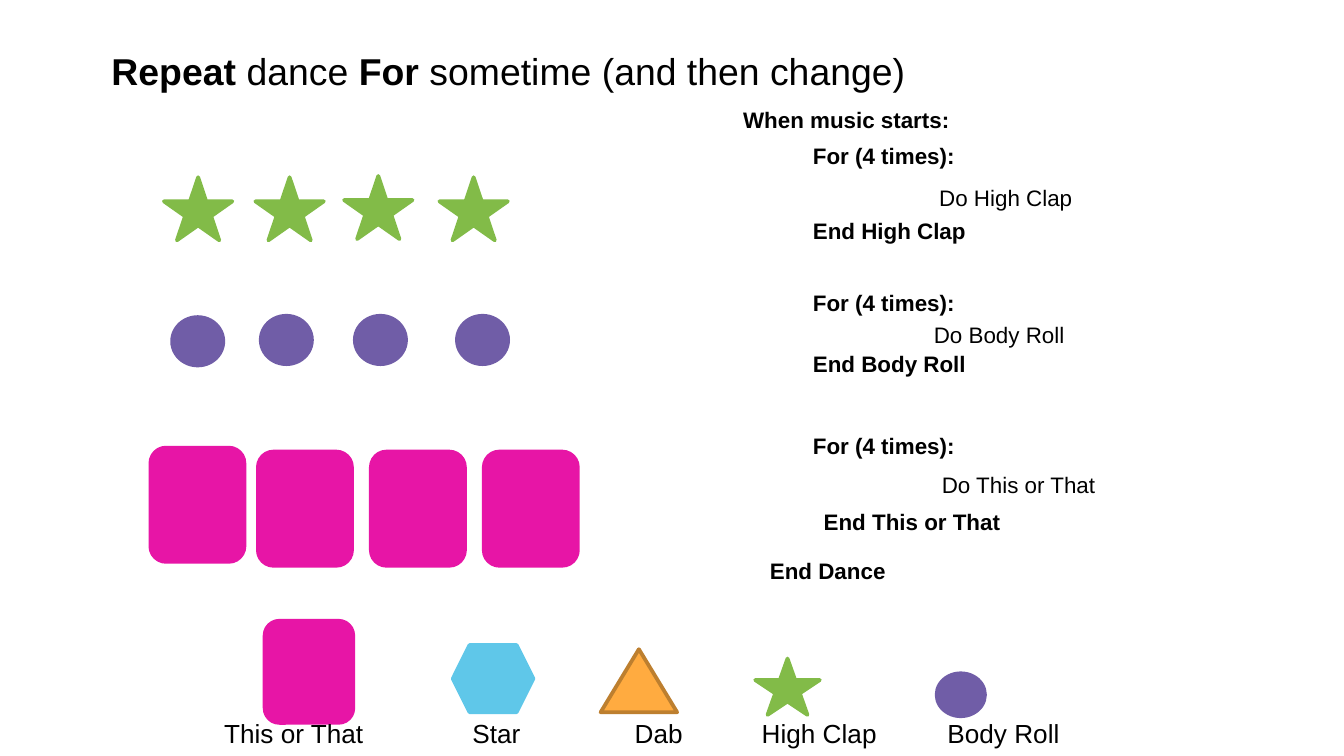
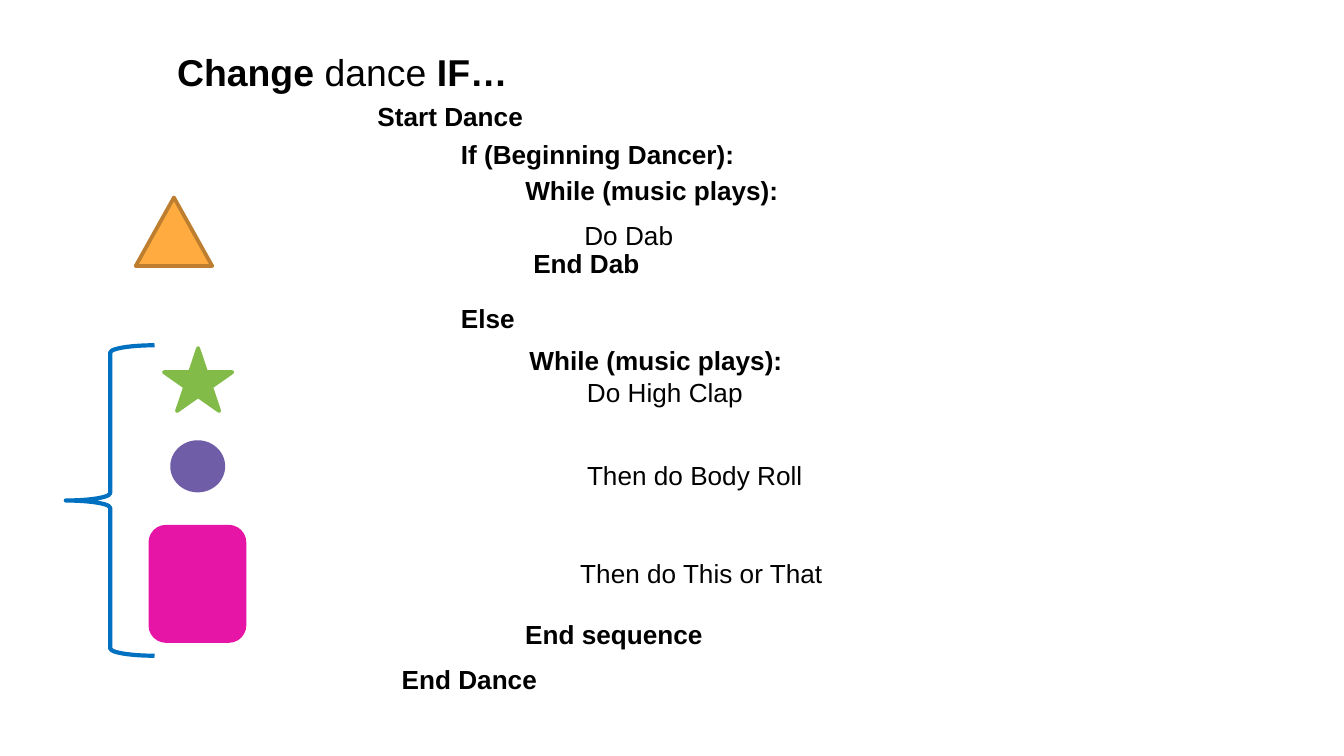
import pptx
import pptx.dml.color
import pptx.enum.shapes
import pptx.enum.text
import pptx.util
from lxml import etree

Pt = pptx.util.Pt
RGBColor = pptx.dml.color.RGBColor
KIND = pptx.enum.shapes.MSO_SHAPE

BLACK = RGBColor(0x00, 0x00, 0x00)
GREEN = RGBColor(0x82, 0xBB, 0x48)
PURPLE = RGBColor(0x70, 0x5D, 0xA7)
PINK = RGBColor(0xE7, 0x15, 0xA6)
SKY = RGBColor(0x5F, 0xC7, 0xE9)
ORANGE = RGBColor(0xFF, 0xAB, 0x40)
BROWN = RGBColor(0xBD, 0x7F, 0x2F)
BLUE = RGBColor(0x00, 0x70, 0xC0)

FONT = "Arial"
TITLE_SIZE = 20
LABEL_SIZE = 14
NAMESPACE = "http://schemas.openxmlformats.org/drawingml/2006/main"

MOVES = {
    "High Clap": (KIND.STAR_5_POINT, GREEN, GREEN, (36.7, 33.8)),
    "Body Roll": (KIND.OVAL, PURPLE, PURPLE, (27.4, 25.9)),
    "This or That": (KIND.ROUNDED_RECTANGLE, PINK, PINK, (50.4, 61.2)),
    "Star": (KIND.HEXAGON, SKY, SKY, (43.2, 36)),
    "Dab": (KIND.ISOSCELES_TRIANGLE, ORANGE, BROWN, (41, 36.7)),
}

REPEATED_MOVES = {
    "High Clap": [(87.8, 95), (136.8, 95), (184.3, 94.3), (235.4, 95)],
    "Body Roll": [(92.2, 169.9), (139.7, 169.2), (190.1, 169.2), (244.8, 169.2)],
    "This or That": [(80.6, 239.8), (138.2, 241.9), (198.7, 241.9), (259.2, 241.9)],
}

LEGEND = [
    ("This or That", 141.8, 332.6, (47.5, 54.7), 0),
    ("Star", 242.6, 345.6, (43.2, 36), 133),
    ("Dab", 321.8, 347.8, (41, 33.8), 220),
    ("High Clap", 404.6, 352.8, (34.6, 30.2), 288),
    ("Body Roll", 501.8, 360.7, (25.9, 23), 387.5),
]

LOOPS = [
    ("High Clap", 72.7, (496.1, 95, 119.5), (428.4, 113, 97.9)),
    ("Body Roll", 151.2, (493.2, 168.5, 147.6), (428.4, 184.3, 97.9)),
    ("This or That", 228.2, (497.5, 249.1, 165.6), (434.2, 268.6, 110.2)),
]

BRANCH_MOVES = [
    ("Dab", 72.7, 105.8),
    ("High Clap", 87.8, 186.5),
    ("Body Roll", 92.2, 236.9),
    ("This or That", 80.6, 282.2),
]

BRANCH_KEYWORDS = [
    ("If (Beginning Dancer):", 239.8, 70.6, 185.8, True),
    ("While (music plays):", 274.3, 90, 185.8, True),
    ("End Dab", 278.6, 128.9, 185.8, True),
    ("Else", 239.8, 158.4, 157.7, True),
    ("While (music plays):", 276.5, 180.7, 157.7, True),
    ("Start Dance", 195.1, 50.4, 92.9, False),
    ("End sequence", 274.3, 327.6, 110.2, False),
    ("End Dance", 208.1, 352.1, 87.1, False),
]

BRANCH_STEPS = [
    ("Do Dab", 306, 113.8, 119.5),
    ("Do High Clap", 307.4, 198, 119.5),
    ("Then do Body Roll", 307.4, 242.6, 147.6),
    ("Then do This or That", 303.8, 295.2, 165.6),
]


def add_text(page, spans, left, top, width, size, wrap=True):
    height = size * 1.2 + 7.2
    box = page.shapes.add_textbox(Pt(left), Pt(top), Pt(width), Pt(height))
    frame = box.text_frame
    frame.word_wrap = wrap
    frame.auto_size = pptx.enum.text.MSO_AUTO_SIZE.SHAPE_TO_FIT_TEXT
    para = frame.paragraphs[0]
    for text, bold in spans:
        span = para.add_run()
        span.text = text
        span.font.name = FONT
        span.font.size = Pt(size)
        span.font.bold = bold
        span.font.color.rgb = BLACK
    return para


def add_title(page, spans, left, top):
    add_text(page, spans, left, top, 514, TITLE_SIZE)


def add_outline(page, kind, left, top, size, fill, line, weight=2):
    shape = page.shapes.add_shape(kind, Pt(left), Pt(top), *map(Pt, size))
    shape.shadow.inherit = False
    if fill is None:
        shape.fill.background()
    else:
        shape.fill.solid()
        shape.fill.fore_color.rgb = fill
    shape.line.color.rgb = line
    shape.line.width = Pt(weight)


def add_move(page, name, left, top, size=None):
    kind, fill, line, usual_size = MOVES[name]
    add_outline(page, kind, left, top, size or usual_size, fill, line)


def add_legend(page):
    for name, left, top, size, stop in LEGEND:
        add_move(page, name, left, top, size)
    labels = "\t".join(entry[0] for entry in LEGEND)
    para = add_text(page, [(labels, False)], 113, 380.9, 465.1, LABEL_SIZE)
    properties = para._p.get_or_add_pPr()
    tabs = etree.SubElement(properties, f"{{{NAMESPACE}}}tabLst")
    for *_, stop in LEGEND[1:]:
        etree.SubElement(tabs, f"{{{NAMESPACE}}}tab", pos=str(Pt(stop)), algn="l")


def add_loop(page, name, top, step_place, end_place):
    add_text(page, [("For (4 times):", True)], 428.4, top, 157.7, 12)
    add_text(page, [(f"Do {name}", False)], *step_place, 12)
    add_text(page, [(f"End {name}", True)], *end_place, 12, wrap=False)


def build_repeat_page(page):
    add_legend(page)
    add_title(page, [("Repeat", True), (" dance ", False), ("For", True),
                     (" sometime (and then change)", False)], 52.6, 22.3)
    for name, places in REPEATED_MOVES.items():
        for left, top in places:
            add_move(page, name, left, top)
    add_text(page, [("When music starts:", True)], 391, 53.3, 129.6, 12, wrap=False)
    for loop in LOOPS:
        add_loop(page, *loop)
    add_text(page, [("End Dance", True)], 405.4, 295.2, 77, 12, wrap=False)


def build_change_page(page):
    add_title(page, [("Change", True), (" dance ", False), ("IF…", True)], 87.8, 23)
    for name, left, top in BRANCH_MOVES:
        add_move(page, name, left, top)
    add_outline(page, KIND.LEFT_BRACE, 35.3, 185, (47.5, 166.3), None, BLUE, 2.25)
    for text, left, top, width, wrap in BRANCH_KEYWORDS:
        add_text(page, [(text, True)], left, top, width, LABEL_SIZE, wrap)
    for text, left, top, width in BRANCH_STEPS:
        add_text(page, [(text, False)], left, top, width, LABEL_SIZE)


def main():
    deck = pptx.Presentation()
    deck.slide_width = Pt(720)
    deck.slide_height = Pt(405)
    blank = deck.slide_layouts[6]
    for build in (build_repeat_page, build_change_page):
        build(deck.slides.add_slide(blank))
    deck.save("out.pptx")


if __name__ == "__main__":
    main()
